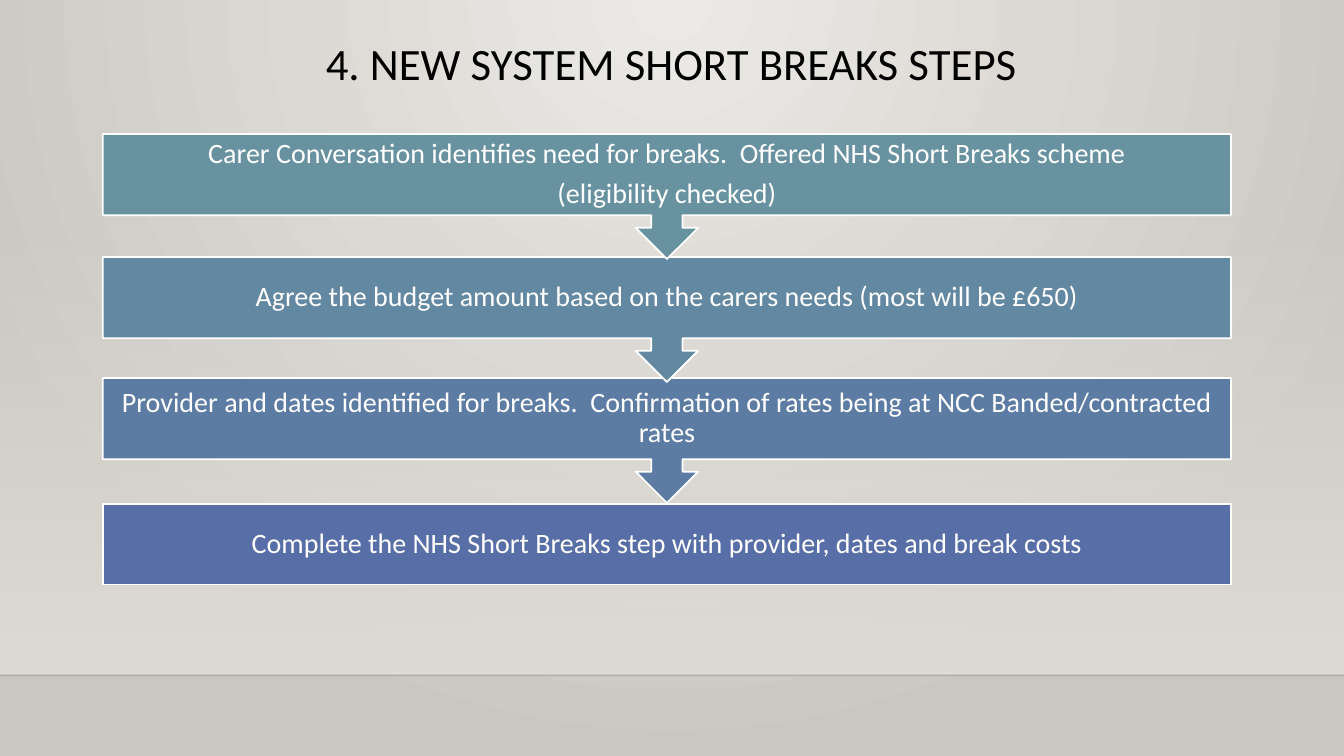
from dataclasses import dataclass

from lxml import etree
from pptx import Presentation
from pptx import util as u
from pptx.dml.color import RGBColor
from pptx.enum import shapes, text
from pptx.oxml.ns import qn


@dataclass(frozen=True)
class Theme:
    font: str = "Calibri"
    title_size: int = 32
    step_size: int = 20
    title_color: str = "000000"
    step_color: str = "FFFFFF"
    edge_color: str = "FFFFFF"
    rule_color: str = "000001"
    background: tuple = ("ECEAE7", "CAC7C1")
    band: str = "DFDBD5"


class StepSlide:
    def __init__(self, deck, theme):
        self.theme = theme
        self.slide = deck.slides.add_slide(deck.slide_layouts[5])
        self.width = deck.slide_width

    def gradient(self, fill, colors):
        fill.gradient()
        for stop, color in zip(fill.gradient_stops, colors):
            stop.color.rgb = RGBColor.from_string(color)

    def alpha(self, color_element, percent):
        etree.SubElement(color_element, qn("a:alpha"), val=str(percent * 1000))

    def background(self):
        self.gradient(self.slide.background.fill, self.theme.background)
        gradient = next(self.slide.element.iter(qn("a:gradFill")))
        gradient.remove(gradient.find(qn("a:lin")))
        glow = etree.SubElement(gradient, qn("a:path"), {"path": "circle"})
        etree.SubElement(glow, qn("a:fillToRect"),
                         l="43000", t="0", r="43000", b="100000")

    def band(self, top, bottom):
        band = self.slide.shapes.add_shape(
            shapes.MSO_SHAPE.RECTANGLE, 0, u.Inches(top),
            self.width, u.Inches(bottom - top))
        band.shadow.inherit = False
        band.line.fill.background()
        self.gradient(band.fill, [self.theme.band] * 2)
        band.fill.gradient_angle = 270
        self.alpha(next(band.element.spPr.iter(qn("a:srgbClr"))), 0)

    def rule(self, top):
        rule = self.slide.shapes.add_connector(
            shapes.MSO_CONNECTOR.STRAIGHT, 0, u.Inches(top),
            self.width, u.Inches(top))
        rule.line.width = u.Pt(1)
        rule.line.color.rgb = RGBColor.from_string(self.theme.rule_color)
        properties = rule.element.spPr
        self.alpha(next(properties.iter(qn("a:srgbClr"))), 20)
        etree.SubElement(properties, qn("a:effectLst"))

    def set_text(self, frame, lines, size, color, inset, space_after):
        frame_format = {
            "word_wrap": True,
            "auto_size": text.MSO_AUTO_SIZE.NONE,
            "vertical_anchor": text.MSO_ANCHOR.MIDDLE,
            **{f"margin_{side}": u.Inches(inset)
               for side in ("left", "top", "right", "bottom")},
        }
        paragraph_format = {
            "alignment": text.PP_ALIGN.CENTER,
            "line_spacing": 0.9,
            "space_before": u.Pt(0),
            "space_after": u.Pt(space_after),
        }
        font_format = {"name": self.theme.font, "size": u.Pt(size)}
        for name, value in frame_format.items():
            setattr(frame, name, value)
        frame.text = "\n".join(lines)
        for paragraph in frame.paragraphs:
            for name, value in paragraph_format.items():
                setattr(paragraph, name, value)
            for name, value in font_format.items():
                setattr(paragraph.font, name, value)
            paragraph.font.color.rgb = RGBColor.from_string(color)

    def title(self, wording, left, top, width, height):
        heading = self.slide.shapes.title
        place = {"left": left, "top": top, "width": width, "height": height}
        for name, value in place.items():
            setattr(heading, name, u.Inches(value))
        self.set_text(heading.text_frame, [wording], self.theme.title_size,
                      self.theme.title_color, 0.05, 0)

    def step(self, outline, lines, color, top, height):
        step = self.slide.shapes.add_shape(
            outline, u.Inches(1.02), u.Inches(top),
            u.Inches(11.19), u.Inches(height))
        step.shadow.inherit = False
        step.fill.solid()
        step.fill.fore_color.rgb = RGBColor.from_string(color)
        step.line.color.rgb = RGBColor.from_string(self.theme.edge_color)
        step.line.width = u.Pt(1.25)
        self.set_text(step.text_frame, lines, self.theme.step_size,
                      self.theme.step_color, 0.16, 7)


STEPS = [
    (1.33, "6892A0", ["Carer Conversation identifies need for breaks.  "
                      "Offered NHS Short Breaks scheme",
                      "(eligibility checked)"]),
    (2.55, "6388A2", ["Agree the budget amount based on the carers needs "
                      "(most will be £650)"]),
    (3.75, "5D7CA4", ["Provider and dates identified for breaks.  Confirmation "
                      "of rates being at NCC Banded/contracted rates"]),
    (5, "586EA6", ["Complete the NHS Short Breaks step with provider, "
                   "dates and break costs"]),
]


def main():
    deck = Presentation()
    deck.slide_width = u.Inches(13.33)
    deck.slide_height = u.Inches(7.5)
    page = StepSlide(deck, Theme())
    page.background()
    page.band(2.21, 6.7)
    page.rule(6.7)
    page.title("4. NEW SYSTEM SHORT BREAKS STEPS", 1.41, 0.33, 10.5, 0.64)

    *leading_steps, (last_top, last_color, last_lines) = STEPS
    page.step(shapes.MSO_SHAPE.RECTANGLE, last_lines, last_color, last_top, 0.8)
    for top, color, lines in reversed(leading_steps):
        page.step(shapes.MSO_SHAPE.DOWN_ARROW_CALLOUT, lines, color, top, 1.24)
    deck.save("out.pptx")


if __name__ == "__main__":
    main()
